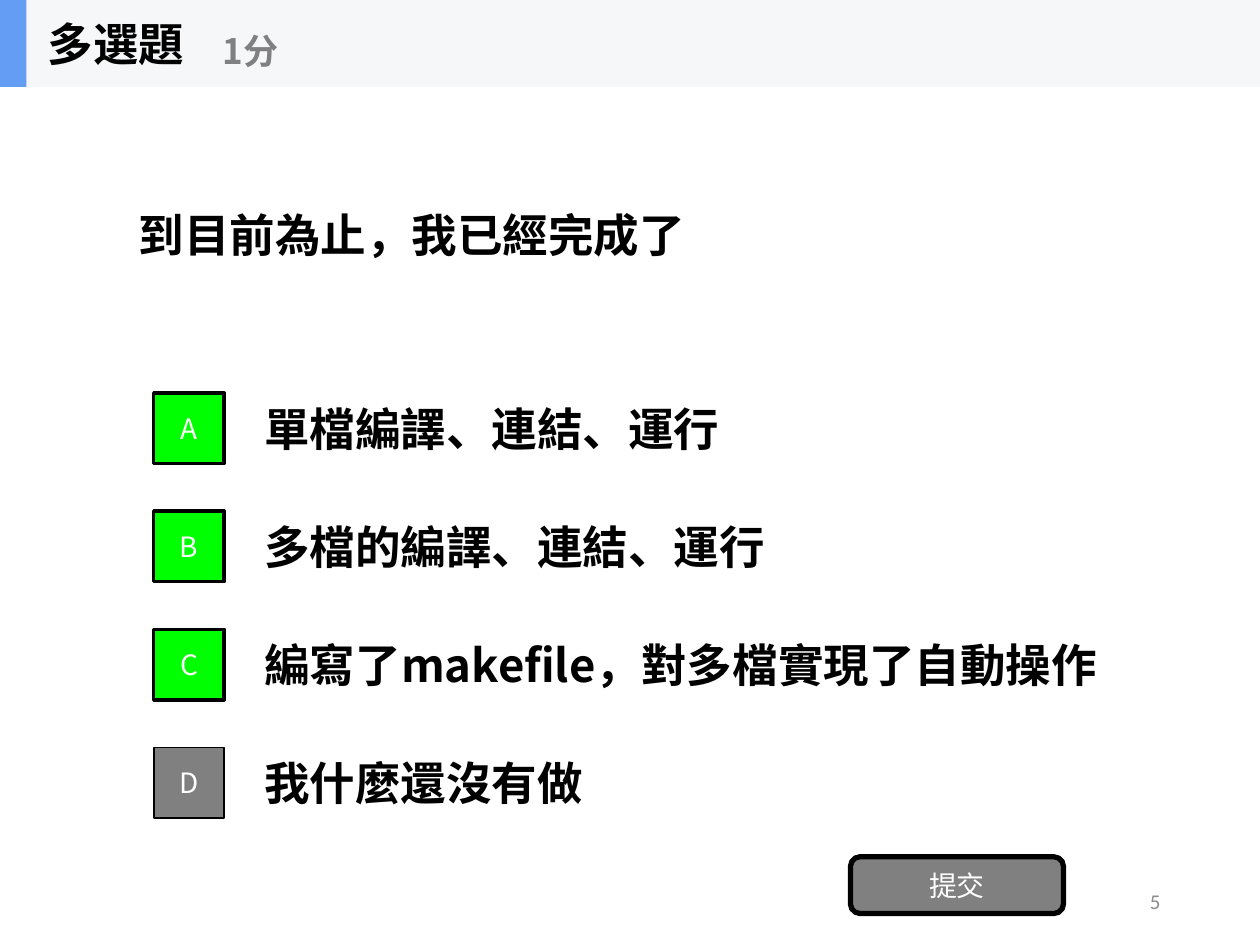
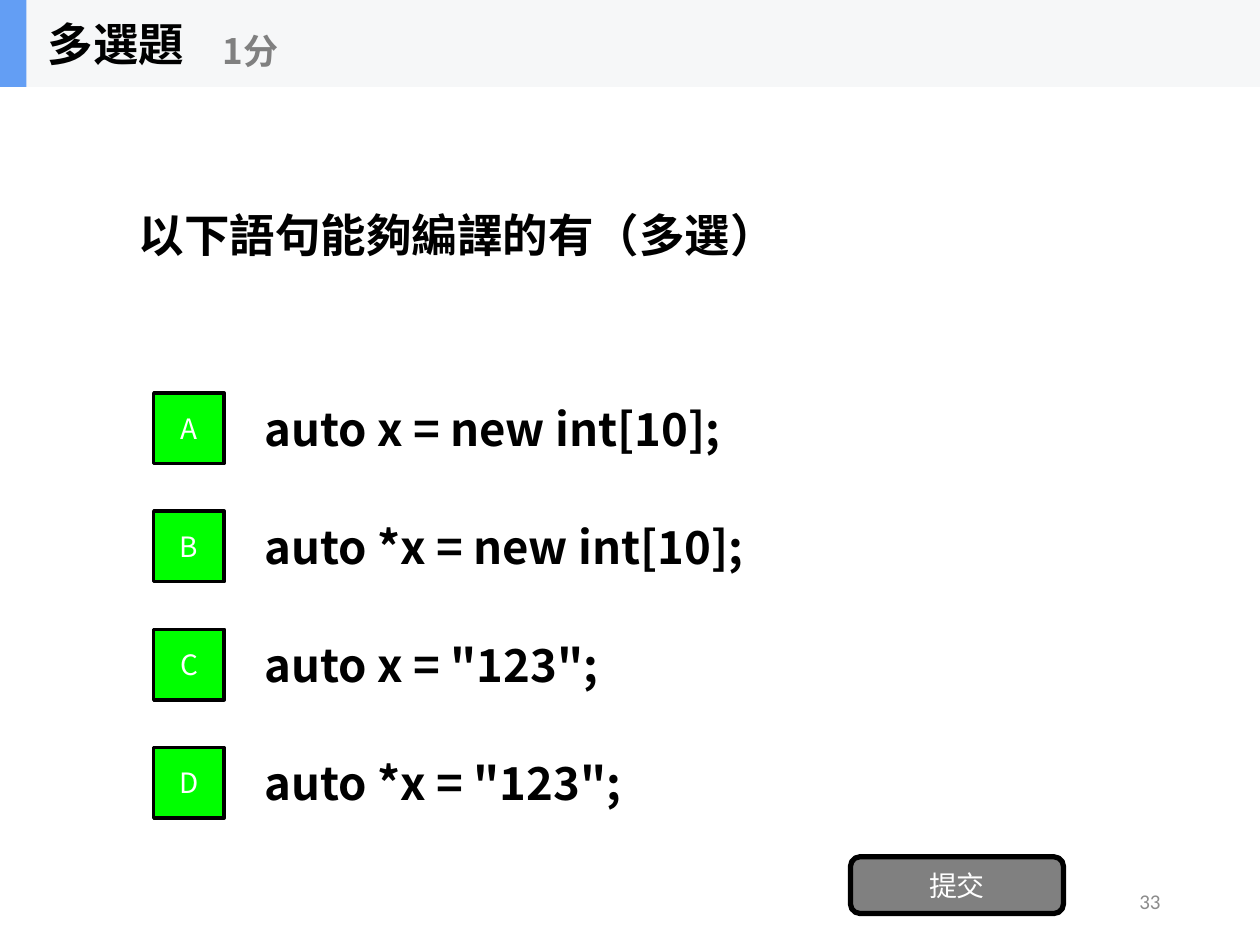
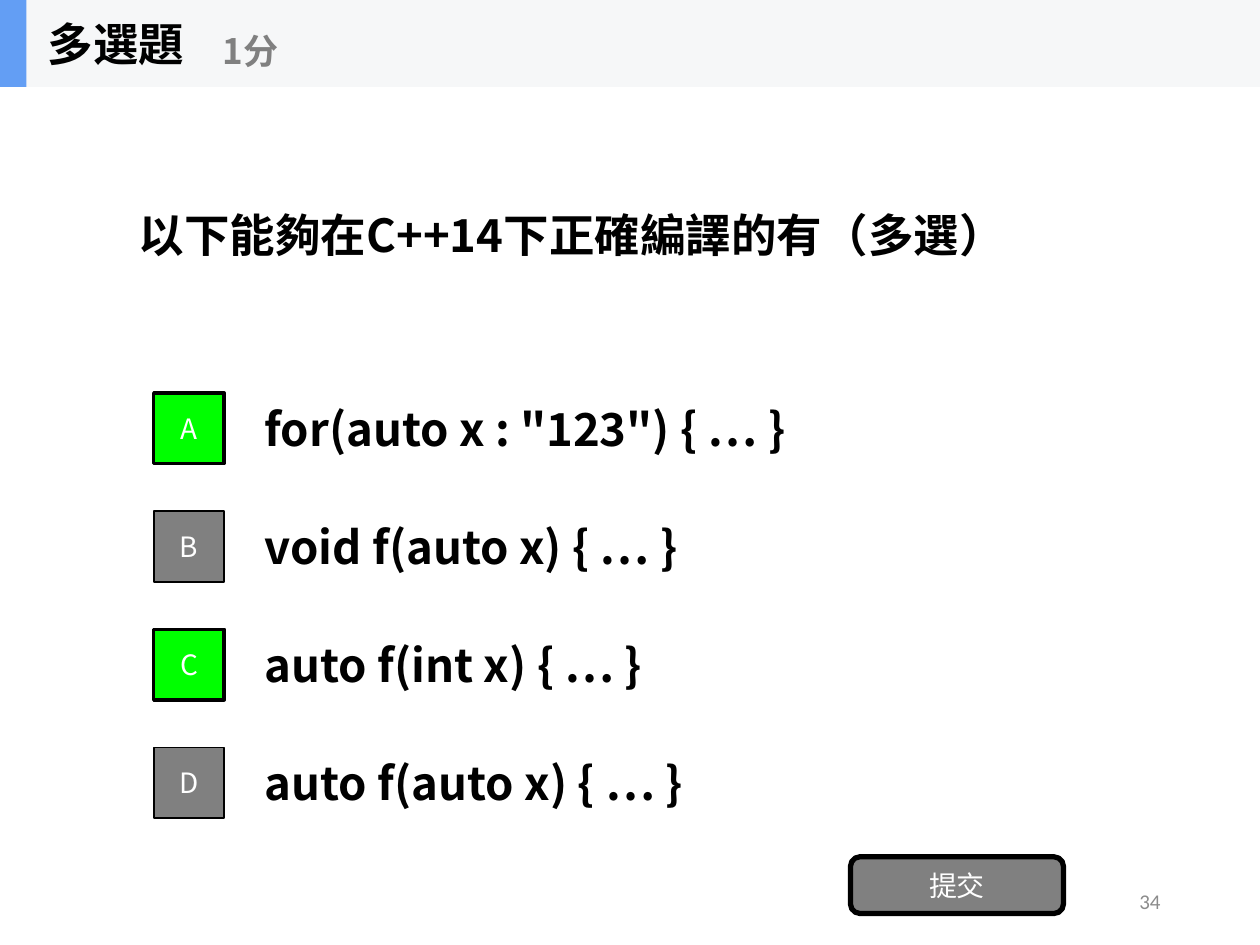
"""Build three multiple-choice quiz slides with a shared header band and submit button."""
import pptx
import pptx.dml.color
import pptx.enum.shapes
import pptx.enum.text
import pptx.oxml
import pptx.util

WIDTH, HEIGHT = 10, 7.5
ROW = HEIGHT / 8
BAND = 0.69
OPTIONS_TOP, OPTION_HEIGHT, LETTER_SIZE = 3.05, 0.7, 0.56

BLACK, WHITE, GRAY = "000000", "FFFFFF", "808080"
CORRECT, BAND_FILL, ACCENT, NUMBER_COLOUR = "00FF00", "F6F7F8", "639EF4", "8C8C8C"
CJK_FONT, NUMBER_FONT = "Noto Sans CJK SC", "Calibri"

colour = pptx.dml.color.RGBColor.from_string
inches = pptx.util.Inches
Align = pptx.enum.text.PP_ALIGN
Preset = pptx.enum.shapes.MSO_SHAPE

QUIZ = [
    (5, "到目前為止，我已經完成了", "ABC",
     ["單檔編譯、連結、運行", "多檔的編譯、連結、運行",
      "編寫了makefile，對多檔實現了自動操作", "我什麼還沒有做"]),
    (33, "以下語句能夠編譯的有（多選）", "ABCD",
     ["auto x = new int[10];", "auto *x = new int[10];",
      'auto x = "123";', 'auto *x = "123";']),
    (34, "以下能夠在C++14下正確編譯的有（多選）", "AC",
     ['for(auto x : "123") { … }', "void f(auto x) { … }",
      "auto f(int x) { … }", "auto f(auto x) { … }"]),
]


def write(box, text, size=26, color=BLACK, bold=True, align=Align.LEFT, font=CJK_FONT):
    """Fill a shape with one formatted, vertically centred line of text."""
    frame = box.text_frame
    frame.word_wrap = True
    frame.auto_size = pptx.enum.text.MSO_AUTO_SIZE.NONE
    frame.vertical_anchor = pptx.enum.text.MSO_ANCHOR.MIDDLE
    frame.margin_right = 0 if align == Align.LEFT else inches(0.1)
    paragraph = frame.paragraphs[0]
    paragraph.alignment = align
    run = paragraph.add_run()
    run.text = text
    run.font.size = pptx.util.Pt(size)
    run.font.bold = bold
    run.font.color.rgb = colour(color)
    run.font.name = font
    latin = run.font._element.find(pptx.oxml.ns.qn("a:latin"))
    latin.addnext(pptx.oxml.parse_xml(
        f'<a:ea {pptx.oxml.ns.nsdecls("a")} typeface="{font}"/>'))


def panel(shapes, preset, place, fill, outline=0):
    """Add a flat filled shape, outlined in black when a width is given."""
    shape = shapes.add_shape(preset, *map(inches, place))
    shape.shadow.inherit = False
    shape.fill.solid()
    shape.fill.fore_color.rgb = colour(fill)
    if outline:
        shape.line.color.rgb = colour(BLACK)
        shape.line.width = pptx.util.Pt(outline)
    else:
        shape.line.fill.background()
    return shape


deck = pptx.Presentation()
deck.slide_width, deck.slide_height = inches(WIDTH), inches(HEIGHT)

for number, question, answers, options in QUIZ:
    slide = deck.slides.add_slide(deck.slide_layouts[5])
    shapes = slide.shapes

    heading = shapes.title
    heading.left, heading.top = inches(WIDTH / 10), inches(BAND)
    heading.width, heading.height = inches(WIDTH * 0.8), inches(2.34)
    write(heading, question)

    page_number = shapes.add_textbox(*map(inches, (7.06, 6.95, 2.25, 0.4)))
    write(page_number, str(number), size=12, color=NUMBER_COLOUR, bold=False,
          align=Align.RIGHT, font=NUMBER_FONT)

    for index, (letter, option) in enumerate(zip("ABCD", options)):
        top = OPTIONS_TOP + index * ROW
        answer = shapes.add_textbox(
            *map(inches, (WIDTH / 5, top, WIDTH * 0.7, OPTION_HEIGHT)))
        write(answer, option)

        right = letter in answers
        letter_top = top + (OPTION_HEIGHT - LETTER_SIZE) / 2
        marker = panel(shapes, Preset.RECTANGLE,
                       (1.22, letter_top, LETTER_SIZE, LETTER_SIZE),
                       CORRECT if right else GRAY, 2 if right else 1)
        write(marker, letter, size=16, color=WHITE, bold=False, align=Align.CENTER)

    submit = panel(shapes, Preset.ROUNDED_RECTANGLE, (6.75, 6.8, 1.69, 0.45), GRAY, 3)
    write(submit, "提交", size=16, color=WHITE, bold=False, align=Align.CENTER)

    header = shapes.add_group_shape().shapes
    panel(header, Preset.RECTANGLE, (0, 0, WIDTH, BAND), BAND_FILL)
    panel(header, Preset.RECTANGLE, (0, 0, 0.21, BAND), ACCENT)
    write(header.add_textbox(*map(inches, (0.28, 0, 2.08, BAND))), "多選題")
    write(header.add_textbox(*map(inches, (1.67, 0.12, 2.5, 0.56))), "1分",
          size=20, color=GRAY)

deck.save("out.pptx")
